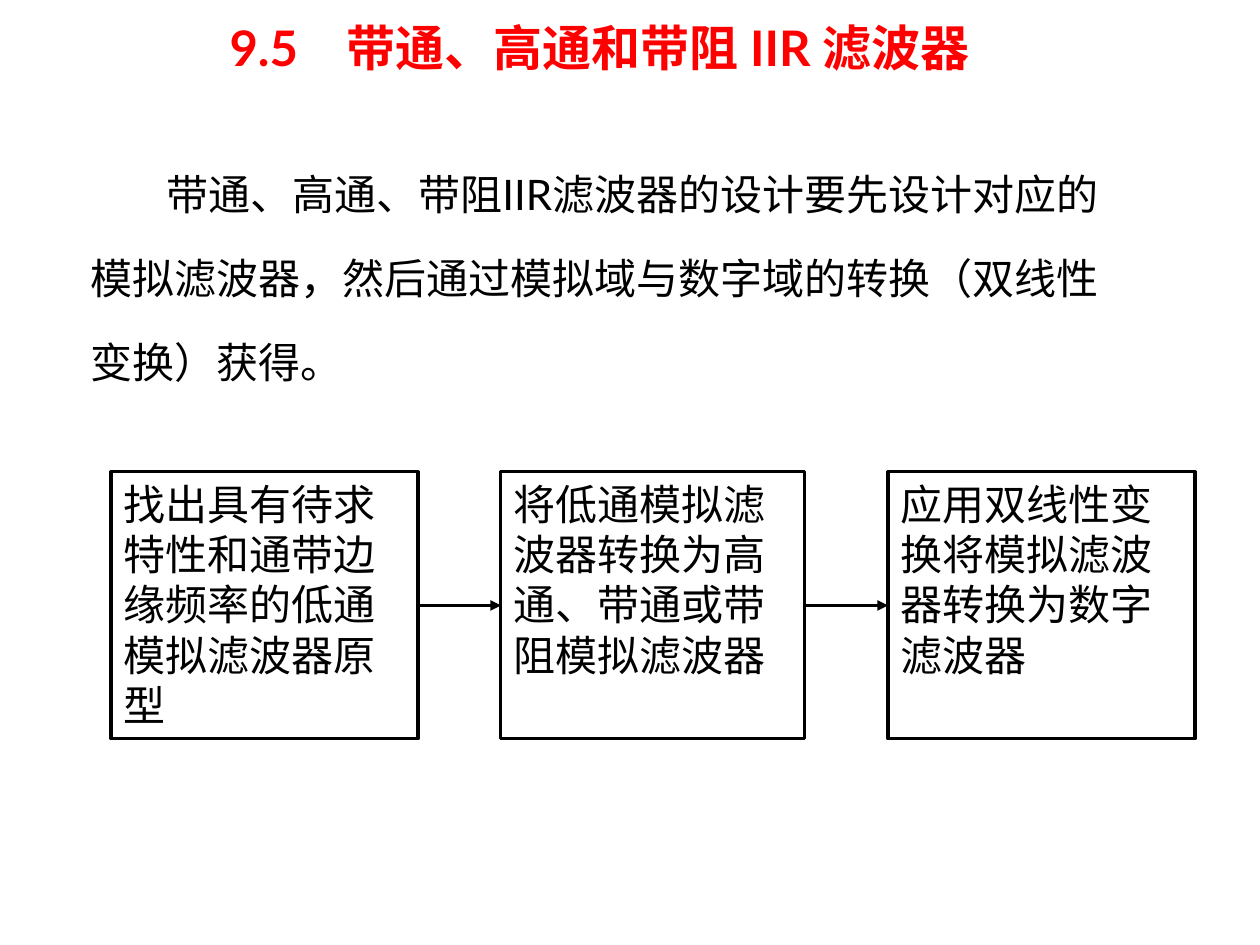
from typing import NamedTuple

from lxml import etree
from pptx import Presentation
from pptx.dml.color import RGBColor
from pptx.enum.shapes import MSO_CONNECTOR, MSO_SHAPE
from pptx.enum.text import MSO_ANCHOR, MSO_AUTO_SIZE, PP_ALIGN
from pptx.oxml.ns import qn
from pptx.util import Emu, Pt

RECT = MSO_SHAPE.RECTANGLE
STRAIGHT = MSO_CONNECTOR.STRAIGHT
TOP, MIDDLE = MSO_ANCHOR.TOP, MSO_ANCHOR.MIDDLE
LEFT, CENTER = PP_ALIGN.LEFT, PP_ALIGN.CENTER
GROW = MSO_AUTO_SIZE.SHAPE_TO_FIT_TEXT

PX = 914400 // 126
BLACK, RED = "000000", "FF0000"
LATIN, CJK = "Lato", "Noto Sans CJK SC"
LEFT_SIDE, RIGHT_SIDE = 1, 3

STEP_TOP, STEP_HEIGHT = 472, 267
FIRST_LINE_INDENT = 76


class Step(NamedTuple):
    x: int
    width: int
    text: str


TITLE = "9.5　带通、高通和带阻 IIR 滤波器"
BODY = [
    "带通、高通、带阻IIR滤波器的设计要先设计对应的",
    "模拟滤波器，然后通过模拟域与数字域的转换（双线性",
    "变换）获得。",
]
STEPS = [
    Step(111, 307, "找出具有待求特性和通带边缘频率的低通模拟滤波器原型"),
    Step(501, 304, "将低通模拟滤波器转换为高通、带通或带阻模拟滤波器"),
    Step(888, 307, "应用双线性变换将模拟滤波器转换为数字滤波器"),
]


def px(n: int) -> Emu:
    return Emu(n * PX)


def color(value: str) -> RGBColor:
    return RGBColor.from_string(value)


def write(tf, lines: list[str], size: int, fill: str, font: str,
          bold: bool = False, align=LEFT) -> None:
    tf.word_wrap = True
    for i, line in enumerate(lines):
        p = tf.paragraphs[0] if i == 0 else tf.add_paragraph()
        p.alignment = align
        r = p.add_run()
        r.text = line
        r.font.name = font
        r.font.size = Pt(size)
        r.font.bold = bold
        r.font.color.rgb = color(fill)
        # East Asian text takes its line height from the Latin face.
        etree.SubElement(r.font._element, qn("a:ea"), typeface=LATIN)


def add_text(slide, x: int, y: int, w: int, h: int, anchor=TOP):
    tf = slide.shapes.add_textbox(px(x), px(y), px(w), px(h)).text_frame
    tf.vertical_anchor = anchor
    return tf


def add_step(slide, step: Step):
    sp = slide.shapes.add_shape(RECT, px(step.x), px(STEP_TOP),
                                px(step.width), px(STEP_HEIGHT))
    sp.shadow.inherit = False
    sp.fill.background()
    sp.line.color.rgb = color(BLACK)
    sp.line.width = Pt(1.75)
    sp.text_frame.vertical_anchor = TOP
    write(sp.text_frame, [step.text], 24, BLACK, CJK)
    sp.text_frame.auto_size = GROW
    return sp


def add_arrow(slide, start, end) -> None:
    line = slide.shapes.add_connector(STRAIGHT, 0, 0, 0, 0)
    line.begin_connect(start, RIGHT_SIDE)
    line.end_connect(end, LEFT_SIDE)
    line.line.color.rgb = color(BLACK)
    line.line.width = Pt(2)
    etree.SubElement(line.line._get_or_add_ln(), qn("a:tailEnd"), type="triangle")
    etree.SubElement(line._element.spPr, qn("a:effectLst"))


def main() -> None:
    prs = Presentation()
    prs.slide_width, prs.slide_height = px(1260), px(945)
    slide = prs.slides.add_slide(prs.slide_layouts[6])

    title = add_text(slide, 64, 26, 1071, 42, MIDDLE)
    write(title, [TITLE], 28, RED, LATIN, bold=True, align=CENTER)

    body = add_text(slide, 78, 137, 1071, 273)
    write(body, BODY, 24, BLACK, LATIN)
    for p in body.paragraphs:
        p.line_spacing = 1.5
        p.space_before = Pt(4.8)
    body.paragraphs[0]._p.get_or_add_pPr().set("indent", str(px(FIRST_LINE_INDENT)))

    boxes = [add_step(slide, step) for step in STEPS]
    for start, end in zip(boxes, boxes[1:]):
        add_arrow(slide, start, end)

    prs.save("out.pptx")


if __name__ == "__main__":
    main()
